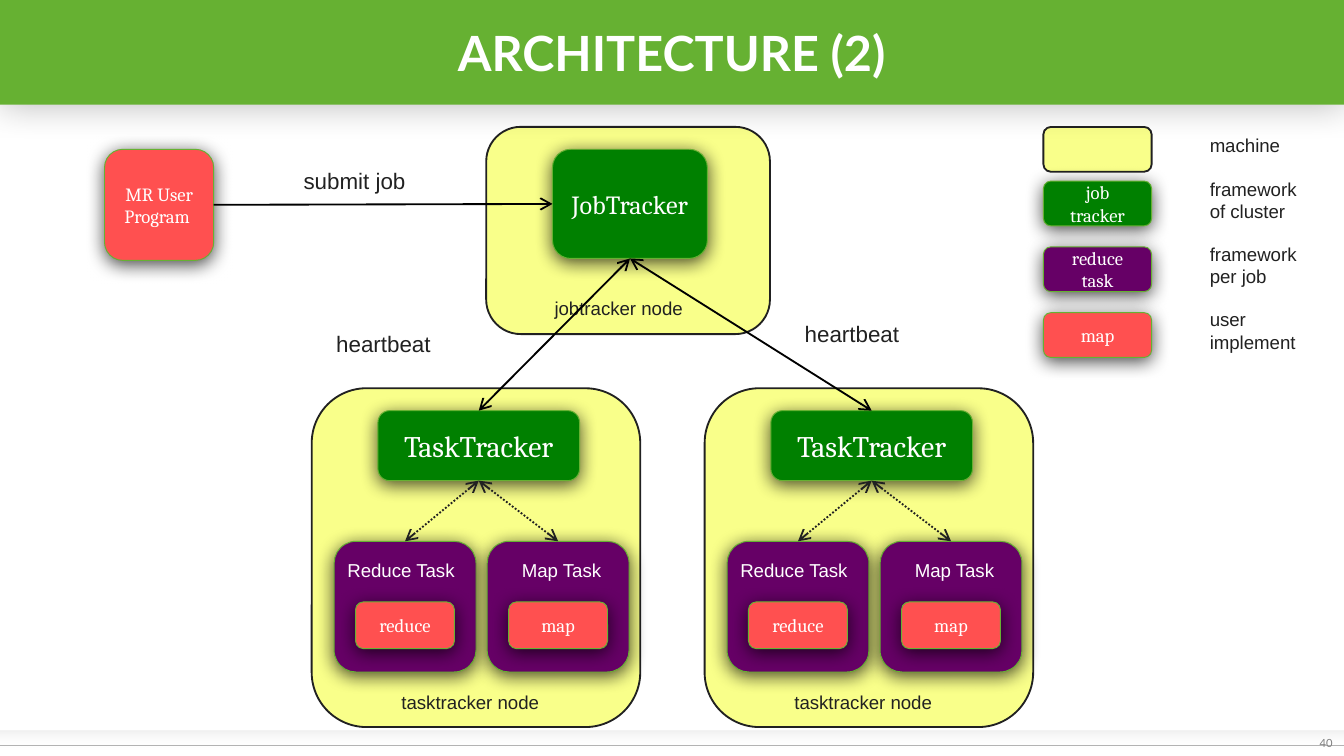
from dataclasses import dataclass

from lxml import etree
from pptx import Presentation
from pptx.dml.color import RGBColor
from pptx.enum.dml import MSO_LINE
from pptx.enum.shapes import MSO_CONNECTOR, MSO_SHAPE
from pptx.enum.text import MSO_ANCHOR, MSO_AUTO_SIZE, PP_ALIGN
from pptx.oxml.ns import qn
from pptx.util import Pt

ROUND = MSO_SHAPE.ROUNDED_RECTANGLE
RECT = MSO_SHAPE.RECTANGLE
STRAIGHT = MSO_CONNECTOR.STRAIGHT
DOT = MSO_LINE.ROUND_DOT
MIDDLE = MSO_ANCHOR.MIDDLE
LEFT, CENTER = PP_ALIGN.LEFT, PP_ALIGN.CENTER
FIXED = MSO_AUTO_SIZE.NONE
# Connection sites of a rectangle
TOP, WEST, BOTTOM, EAST = range(4)


@dataclass(frozen=True)
class Theme:
    head: str = "Lato"
    serif: str = "Cambria"
    sans: str = "Arial"
    lime: str = "66B132"
    yellow: str = "F9FF8A"
    green: str = "008000"
    purple: str = "660066"
    red: str = "FF5050"
    ink: str = "212121"
    black: str = "000000"
    white: str = "FFFFFF"
    gray: str = "808080"
    pale: str = "B3B3B3"
    title: int = 26
    large: int = 16
    medium: int = 14
    label: int = 12
    small: int = 10
    tiny: int = 6


def rgb(code):
    return RGBColor.from_string(code)


def add(parent, tag, **attrs):
    return etree.SubElement(parent, qn(tag), {k: str(v) for k, v in attrs.items()})


class Board:
    """Holds the theme and the slide being drawn."""

    def __init__(self, slide, theme):
        self.slide = slide
        self.shapes = slide.shapes
        self.theme = theme

    def letter(self, shape, text, size, font, color, align=LEFT, bold=False):
        """Set the text of a shape and format its runs."""
        frame = shape.text_frame
        frame.word_wrap = True
        frame.text = text
        for para in frame.paragraphs:
            para.alignment = align
            for run in para.runs:
                run.font.size = Pt(size)
                run.font.name = font
                run.font.bold = bold
                run.font.color.rgb = rgb(color)

    def shade(self, shape, alpha, blur, dist):
        shape.shadow.inherit = False
        effects = shape._element.spPr.find(qn("a:effectLst"))
        outer = add(effects, "a:outerShdw", blurRad=Pt(blur), dist=Pt(dist),
                    dir=5400000, algn="ctr", rotWithShape=0)
        color = add(outer, "a:srgbClr", val=self.theme.black)
        add(color, "a:alpha", val=alpha * 1000)

    def pad(self, shape):
        """Remove the inner margins and centre the text vertically."""
        frame = shape.text_frame
        frame.margin_left = frame.margin_right = 0
        frame.margin_top = frame.margin_bottom = 0
        frame.vertical_anchor = MIDDLE

    def title(self, text):
        t = self.theme
        title = self.shapes.title
        title.left, title.top, title.width, title.height = 0, 0, Pt(720), Pt(56)
        title.fill.solid()
        title.fill.fore_color.rgb = rgb(t.lime)
        self.shade(title, 28, 20, 0)
        self.letter(title, text, t.title, t.head, t.white, CENTER, True)
        self.pad(title)
        title.text_frame.auto_size = FIXED
        self.shapes._spTree.append(title._element)

    def shape(self, x, y, w, h, fill, edge, weight):
        shape = self.shapes.add_shape(ROUND, Pt(x), Pt(y), Pt(w), Pt(h))
        shape.fill.solid()
        shape.fill.fore_color.rgb = rgb(fill)
        shape.line.color.rgb = rgb(edge)
        shape.line.width = Pt(weight)
        shape.shadow.inherit = False
        return shape

    def node(self, x, y, w, h):
        return self.shape(x, y, w, h, self.theme.yellow, self.theme.ink, 1)

    def block(self, x, y, w, h, fill, text="", size=None):
        t = self.theme
        shape = self.shape(x, y, w, h, fill, t.lime, 0.5)
        self.shade(shape, 70, 10, 2)
        shape.text_frame.vertical_anchor = MIDDLE
        if text:
            self.letter(shape, text, size or t.small, t.serif, t.white, CENTER)
        return shape

    def label(self, x, y, w, text, size=None, color=None):
        t = self.theme
        box = self.shapes.add_textbox(Pt(x), Pt(y), Pt(w), Pt(20))
        self.letter(box, text, size or t.small, t.sans, color or t.ink)

    def line(self, color, weight, start=(0, 0), end=(0, 0)):
        line = self.shapes.add_connector(STRAIGHT, *map(Pt, start + end))
        line.line.color.rgb = rgb(color)
        line.line.width = Pt(weight)
        add(line._element.spPr, "a:effectLst")
        return line

    def link(self, source, start, target, end, both=True, dotted=False):
        """Join two shapes at their connection sites with an arrow."""
        t = self.theme
        line = self.line(t.ink if dotted else t.black, 1)
        line.begin_connect(source, start)
        line.end_connect(target, end)
        if dotted:
            line.line.dash_style = DOT
        ln = line._element.spPr.find(qn("a:ln"))
        if both:
            add(ln, "a:headEnd", type="arrow")
        add(ln, "a:tailEnd", type="arrow")

    def footer(self, number):
        t = self.theme
        band = self.shapes.add_shape(RECT, 0, Pt(391.5), Pt(720), Pt(13.5))
        band.line.fill.background()
        band.shadow.inherit = False
        band.fill.gradient()
        band.fill.gradient_angle = 270
        looks = ((0, t.pale, 20), (0.67, t.white, 0))
        for stop, (place, color, alpha) in zip(band.fill.gradient_stops, looks):
            stop.position = place
            stop.color.rgb = rgb(color)
            add(stop._gs.find(qn("a:srgbClr")), "a:alpha", val=alpha * 1000)
        self.line(t.pale, 0.5, (0, 399.5), (720, 399.5))
        box = self.shapes.add_textbox(Pt(702), Pt(391.5), Pt(17), Pt(13.5))
        self.letter(box, number, t.tiny, t.head, t.gray, CENTER)
        self.pad(box)

    def legend(self):
        t = self.theme
        self.node(559, 68, 58, 24)
        fills = ((t.green, "job tracker"), (t.purple, "reduce task"), (t.red, "map"))
        notes = ("framework\nof cluster", "framework\nper job", "user implement")
        self.label(641, 68, 60, "machine")
        for i, ((fill, text), note) in enumerate(zip(fills, notes)):
            self.block(559, 97 + 35.25 * i, 58, 24, fill, text)
            self.label(641, 91.5 + 35 * i, 68, note)

    def worker(self, x):
        """Draw a tasktracker node and return its tracker."""
        t = self.theme
        self.node(x, 208, 176, 181.5)
        tracker = self.block(x + 35.5, 220, 108, 37.5, t.green, "TaskTracker", t.large)
        tasks = (("Reduce Task", "reduce", 0), ("Map Task", "map", 11.5))
        for i, (name, step, inset) in enumerate(tasks):
            left = x + 12 + 82 * i
            task = self.block(left, 290, 76, 70, t.purple)
            self.label(left + inset, 296, 76 - inset, name, color=t.white)
            self.block(left + 11.5, 322.5, 53, 25, t.red, step)
            self.link(tracker, BOTTOM, task, TOP, dotted=True)
        self.label(x + 41, 366.5, 94, "tasktracker node")
        return tracker


def main():
    deck = Presentation()
    deck.slide_width, deck.slide_height = Pt(720), Pt(405)
    t = Theme()
    board = Board(deck.slides.add_slide(deck.slide_layouts[5]), t)
    board.footer("40")
    board.legend()
    workers = [board.worker(x) for x in (167, 377.5)]
    board.node(260.5, 68, 152, 111)
    job = board.block(296, 80, 83, 58.5, t.green, "JobTracker", t.medium)
    board.label(290, 155.5, 94, "jobtracker node")
    for worker in workers:
        board.link(worker, TOP, job, BOTTOM)
    board.label(173, 173.5, 70, "heartbeat", t.label)
    board.label(424, 168, 70, "heartbeat", t.label)
    user = board.block(56, 80, 58.5, 59.5, t.red, "MR User\nProgram ")
    board.label(155.5, 86, 123, "submit job", t.label)
    board.link(user, EAST, job, WEST, both=False)
    board.title("ARCHITECTURE (2)")
    deck.save("out.pptx")


if __name__ == "__main__":
    main()
